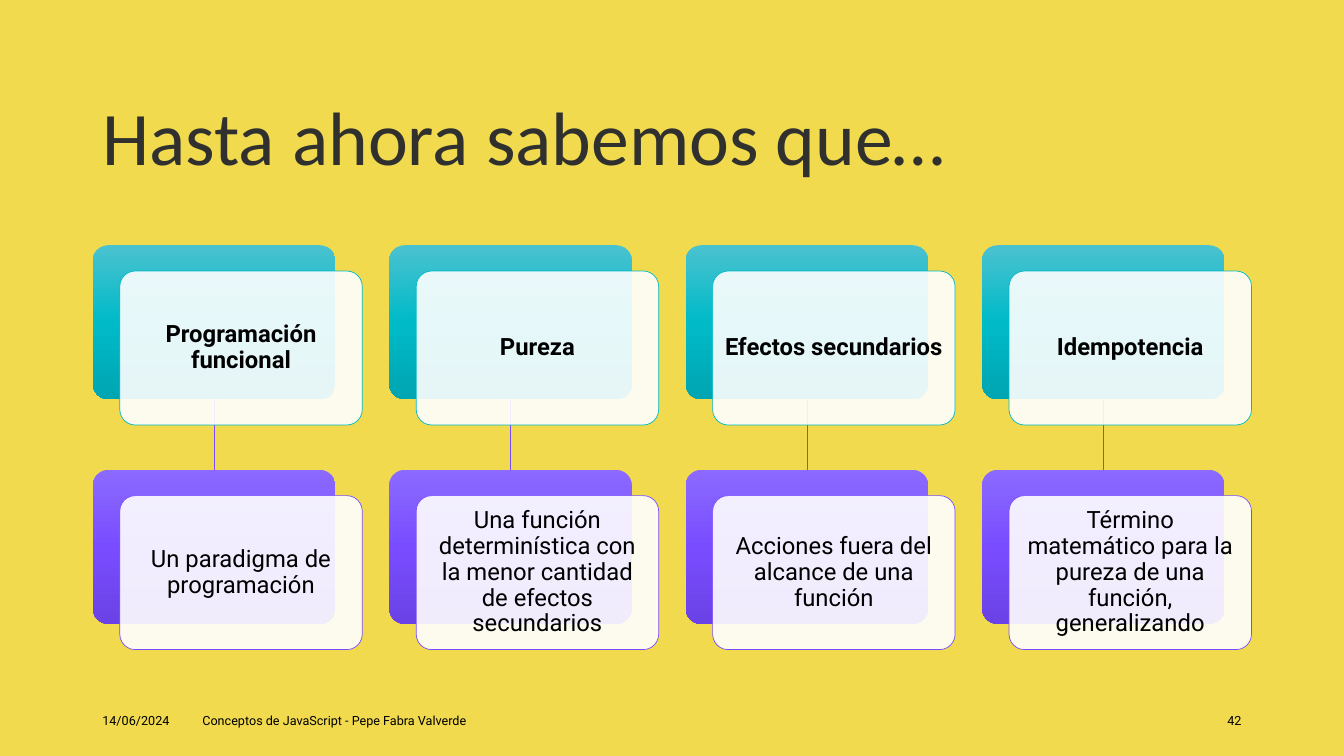
from copy import deepcopy
from dataclasses import dataclass

from pptx import Presentation
from pptx.dml.color import RGBColor
from pptx.enum import shapes, text
from pptx.oxml import ns, xmlchemy
from pptx.util import Cm, Pt


@dataclass(frozen=True)
class Theme:
    back: str = "F1DA4E"
    title: str = "30312F"
    ink: str = "000000"
    card: str = "FFFFFF"
    teal: tuple = ("4BC2D0", "00BAC8", "00A5B2")
    violet: tuple = ("8B6AFF", "794DFF", "6A42E5")
    head: str = "Calibri"
    body: str = "Roboto"
    big: int = 54
    mid: int = 17
    small: int = 9


theme = Theme()
rgb = RGBColor.from_string
align = text.PP_ALIGN


def write(frame, words, size, font=theme.body, color=theme.ink, bold=False,
          side=align.LEFT, anchor=text.MSO_ANCHOR.MIDDLE, lead=1.0, inset=None):
    """Fill a text frame with one formatted paragraph; inset is in cm."""
    frame.word_wrap = True
    frame.auto_size = text.MSO_AUTO_SIZE.NONE
    frame.vertical_anchor = anchor
    if inset is not None:
        frame.margin_left = frame.margin_right = Cm(inset)
        frame.margin_top = frame.margin_bottom = Cm(inset)
    para = frame.paragraphs[0]
    para.alignment = side
    para.line_spacing = lead
    run = para.add_run()
    run.text = words
    run.font.name = font
    run.font.size = Pt(size)
    run.font.bold = bold
    run.font.color.rgb = rgb(color)


def panel(slide, left, top):
    """Add a rounded card at a place given in cm."""
    shape = slide.shapes.add_shape(shapes.MSO_SHAPE.ROUNDED_RECTANGLE,
                                   Cm(left), Cm(top), Cm(wide), Cm(high))
    shape.adjustments[0] = 0.1
    shape.shadow.inherit = False
    return shape


deck = Presentation()
deck.slide_width, deck.slide_height = Cm(33.87), Cm(19.05)
slide = deck.slides.add_slide(deck.slide_layouts[5])
slide.background.fill.solid()
slide.background.fill.fore_color.rgb = rgb(theme.back)

# Title
title = slide.shapes.title
title.left, title.top, title.width, title.height = Cm(2.33), Cm(1.02), Cm(29.21), Cm(3.68)
write(title.text_frame, "Hasta ahora sabemos que…", theme.big, font=theme.head,
      color=theme.title, anchor=text.MSO_ANCHOR.BOTTOM, lead=0.9)

# Concepts above, their meanings below
topics = [
    ("Programación funcional", "Un paradigma de programación"),
    ("Pureza", "Una función determinística con la menor cantidad de efectos secundarios"),
    ("Efectos secundarios", "Acciones fuera del alcance de una función"),
    ("Idempotencia", "Término matemático para la pureza de una función, generalizando"),
]
x0, y0 = 2.34, 6.18
wide, high = 6.11, 3.88
xstep, ystep = 7.47, 5.66
shift = (0.68, 0.65)

for col, topic in enumerate(topics):
    left = x0 + col * xstep
    mid = Cm(left + wide / 2)
    link = slide.shapes.add_connector(shapes.MSO_CONNECTOR.STRAIGHT,
                                      mid, Cm(y0 + high), mid, Cm(y0 + ystep))
    link.line.color.rgb = rgb(theme.violet[1])
    link.line.width = Pt(0.5)
    link.element.spPr.append(xmlchemy.OxmlElement("a:effectLst"))

    for row, (words, tones) in enumerate(zip(topic, (theme.teal, theme.violet))):
        top = y0 + row * ystep
        rear = panel(slide, left, top)
        rear.line.fill.background()
        rear.fill.gradient()
        rear.fill.gradient_angle = 270
        stops = rear.element.spPr.find(ns.qn("a:gradFill")).find(ns.qn("a:gsLst"))
        stops.insert(1, deepcopy(stops[0]))
        for stop, tone, place in zip(rear.fill.gradient_stops, tones, (0, 0.5, 1)):
            stop.color.rgb = rgb(tone)
            stop.position = place

        front = panel(slide, left + shift[0], top + shift[1])
        front.fill.solid()
        front.fill.fore_color.rgb = rgb(theme.card)
        alpha = xmlchemy.OxmlElement("a:alpha")
        alpha.set("val", "90000")
        front.element.spPr.find(ns.qn("a:solidFill"))[0].append(alpha)
        front.line.color.rgb = rgb(tones[1])
        front.line.width = Pt(0.5)
        write(front.text_frame, words, theme.mid, bold=row == 0,
              side=align.CENTER, lead=0.9, inset=0.17)

# Footer
footer = [
    ("14/06/2024", 2.33, 2.45, align.LEFT),
    ("Conceptos de JavaScript - Pepe Fabra Valverde", 4.85, 11.43, align.LEFT),
    ("42", 23.92, 7.62, align.RIGHT),
]
for words, left, width, side in footer:
    box = slide.shapes.add_textbox(Cm(left), Cm(17.66), Cm(width), Cm(1.01))
    write(box.text_frame, words, theme.small, side=side)

deck.save("out.pptx")
